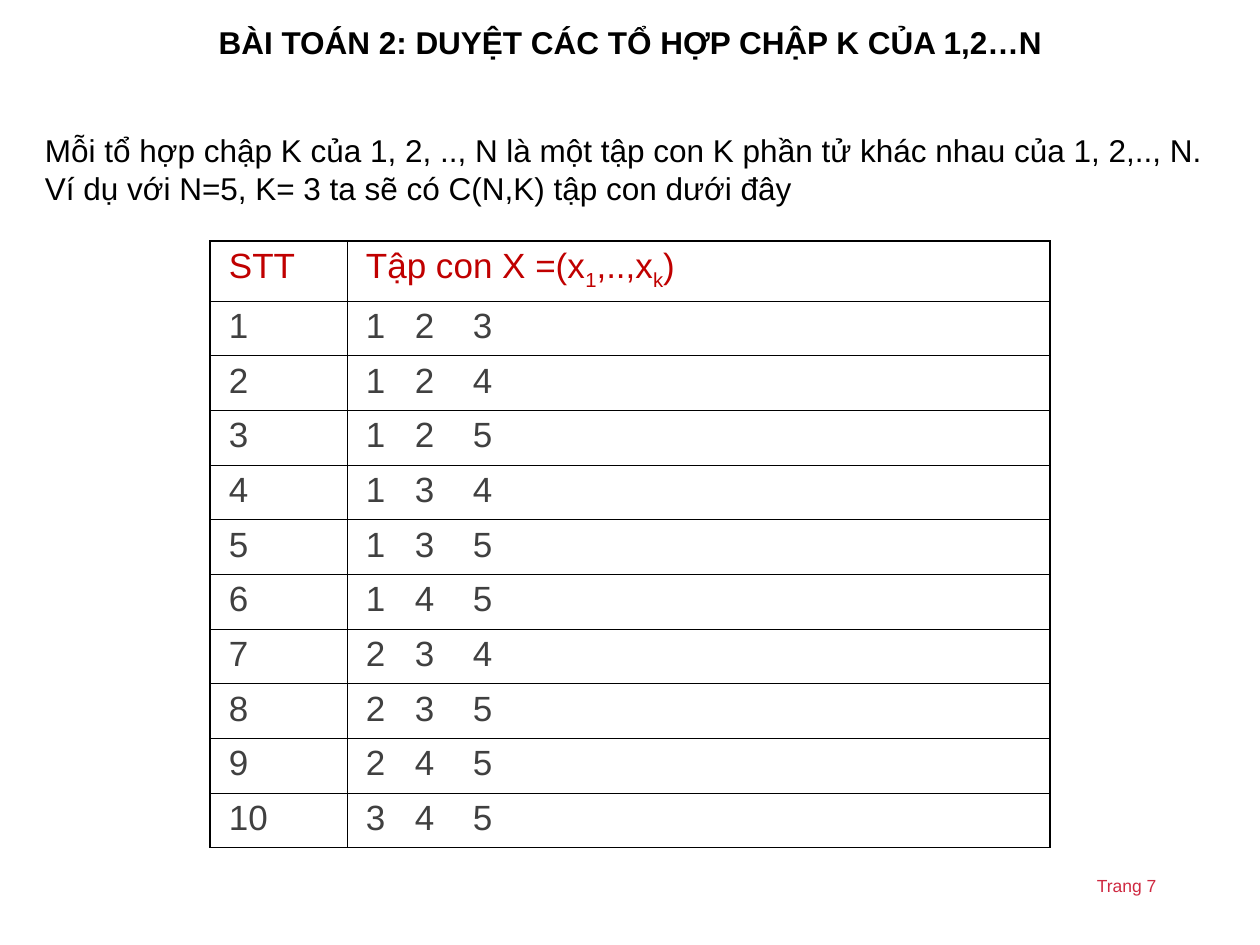
from itertools import combinations
from lxml.etree import SubElement
from pptx import Presentation
from pptx.dml.color import RGBColor
from pptx.enum.text import MSO_ANCHOR, PP_ALIGN
from pptx.oxml.ns import qn
from pptx.util import Pt

PX = 914400 // 126


def place(shape, left, top, width, height):
    """Set a shape's bounds in pixels, with wrapped text at the top."""
    shape.left, shape.top = left * PX, top * PX
    shape.width, shape.height = width * PX, height * PX
    frame = shape.text_frame
    frame.word_wrap = True
    frame.vertical_anchor = MSO_ANCHOR.TOP
    frame.margin_left = frame.margin_right = 13 * PX
    frame.margin_top = frame.margin_bottom = 6 * PX


def style(par, size, color, bold=False):
    """Set the font of a whole paragraph."""
    font = par.font
    font.name, font.size, font.bold = "Arial", Pt(size), bold
    font.color.rgb = RGBColor.from_string(color)


prs = Presentation()
prs.slide_width, prs.slide_height = 1260 * PX, 945 * PX
slide = prs.slides.add_slide(prs.slide_layouts[5])

title = slide.shapes.title
place(title, 32, 17, 1197, 49)
title.text_frame.text = "BÀI TOÁN 2: DUYỆT CÁC TỔ HỢP CHẬP K CỦA 1,2…N"
head = title.text_frame.paragraphs[0]
head.alignment = PP_ALIGN.CENTER
style(head, 18, "000000", True)

notes = [
    (32, 125, 1197, 86, 18, "000000",
     "Mỗi tổ hợp chập K của 1, 2, .., N là một tập con K phần tử khác nhau "
     "của 1, 2,.., N. Ví dụ với N=5, K= 3 ta sẽ có C(N,K) tập con dưới đây"),
    (1084, 869, 152, 34, 10, "CF2941", "Trang 7"),
]
for left, top, width, height, size, color, text in notes:
    box = slide.shapes.add_textbox(0, 0, 0, 0)
    place(box, left, top, width, height)
    box.text_frame.text = text
    style(box.text_frame.paragraphs[0], size, color)

# Table: every 3-element subset of 1..5, in order
subsets = list(combinations("12345", 3))
rows = [("STT", "")]
rows += [(str(n), "\t".join(s)) for n, s in enumerate(subsets, 1)]
last = len(rows) - 1
table = slide.shapes.add_table(
    len(rows), 2, 210 * PX, 241 * PX, 840 * PX, 607 * PX).table
table.first_row = table.horz_banding = False
table.columns[0].width, table.columns[1].width = 137 * PX, 703 * PX
for r, row in enumerate(rows):
    table.rows[r].height = 60 * PX if r == 0 else 547 * PX // last
    for c, text in enumerate(row):
        cell = table.cell(r, c)
        cell.margin_left, cell.margin_right = 19 * PX, 13 * PX
        cell.margin_top = cell.margin_bottom = 6 * PX
        cell.text = text
        par = cell.text_frame.paragraphs[0]
        style(par, 20, "404040" if r else "C00000")

        # Tab stops line up the elements of a subset
        if r and c:
            tabs = SubElement(par._p.get_or_add_pPr(), qn("a:tabLst"))
            par._p.pPr.insert(0, tabs)
            for stop in (49, 107):
                SubElement(tabs, qn("a:tab"), pos=str(stop * PX), algn="l")

        # Thick outer frame, thin inner lines
        props = cell._tc.get_or_add_tcPr()
        edges = {"L": c == 0, "R": c == 1, "T": r == 0, "B": r == last}
        for side, outer in edges.items():
            line = SubElement(props, qn("a:ln" + side),
                              w=str(Pt(1.08 if outer else 0.45)))
            fill = SubElement(line, qn("a:solidFill"))
            SubElement(fill, qn("a:srgbClr"), val="000000")
        cell.fill.background()

label = table.cell(0, 1).text_frame.paragraphs[0]
for text, sub in [("Tập con X =(x", False), ("1", True), (",..,x", False),
                  ("k", True), (")", False)]:
    run = label.add_run()
    run.text = text
    if sub:
        run.font._element.set("baseline", "-25000")

prs.save("out.pptx")
